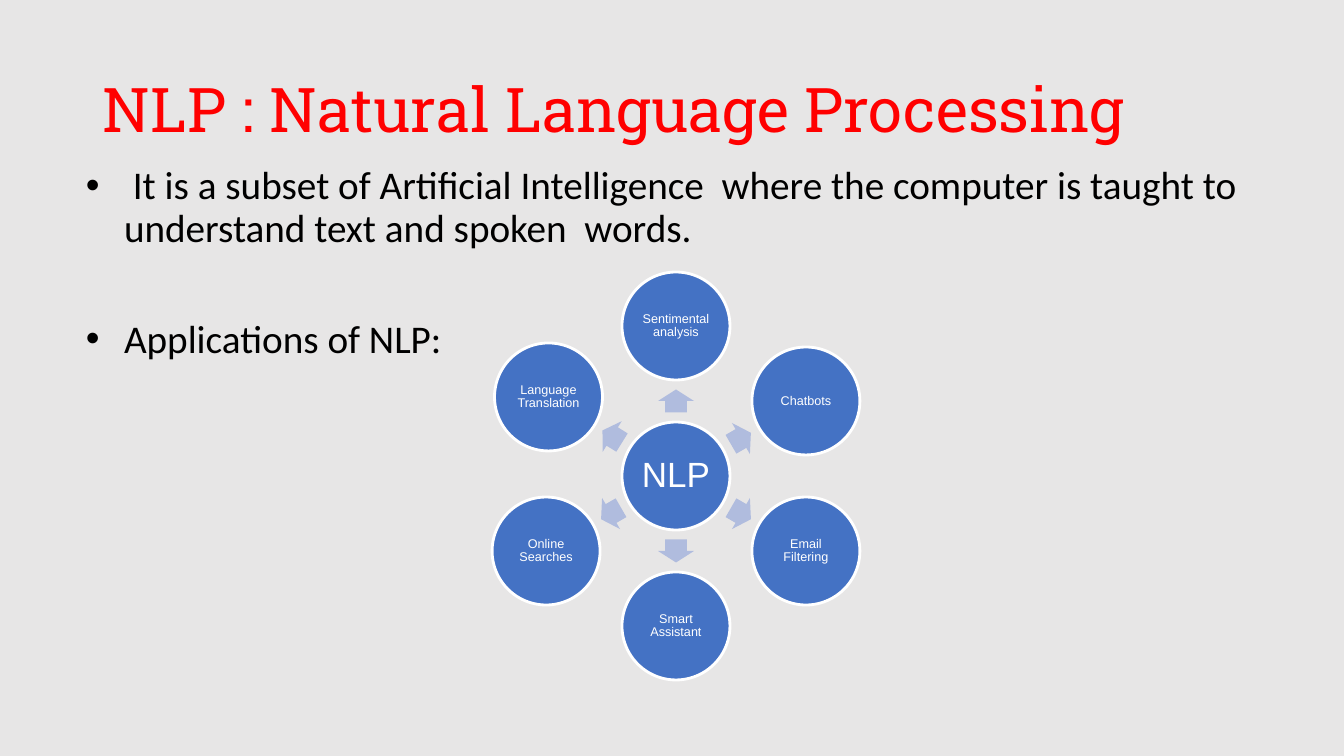
from math import cos, radians, sin

from lxml import etree
from pptx import Presentation
from pptx.dml.color import RGBColor
from pptx.enum.shapes import MSO_SHAPE
from pptx.enum.text import MSO_ANCHOR, PP_ALIGN
from pptx.oxml.ns import qn
from pptx.util import Emu, Pt

# Scale: 1344 px span 13.33 inches
EMU_PER_PX = 914400 / 100.8

BACKGROUND = RGBColor(0xE7, 0xE6, 0xE6)
RED = RGBColor(0xFF, 0x00, 0x00)
BLACK = RGBColor(0x00, 0x00, 0x00)
WHITE = RGBColor(0xFF, 0xFF, 0xFF)
BLUE = RGBColor(0x44, 0x72, 0xC4)
PALE_BLUE = RGBColor(0xB0, 0xBC, 0xDE)

# Radial diagram
CENTER_X, CENTER_Y = 676, 476
CIRCLE_SIZE = 108
CIRCLE_RADIUS, ARROW_RADIUS = 150, 75
ARROW_WIDTH, ARROW_HEIGHT = 23, 36

# Label and clockwise angle in degrees, starting from the right
APPLICATIONS = [
    ("Sentimental analysis", 270),
    ("Chatbots", 330),
    ("Email Filtering", 30),
    ("Smart Assistant", 90),
    ("Online Searches", 150),
    ("Language Translation", 211.8),
]

# Bullet text and space before it in points
BULLETS = [
    (" It is a subset of Artificial Intelligence  where the computer is taught"
     " to understand text and spoken  words.", 10),
    ("Applications of NLP:", 49),
]


def px(value):
    return Emu(round(value * EMU_PER_PX))


def set_margins(text_frame, horizontal, vertical):
    text_frame.margin_left = text_frame.margin_right = px(horizontal)
    text_frame.margin_top = text_frame.margin_bottom = px(vertical)


def style_paragraph(paragraph, font_name, size, color):
    paragraph.line_spacing = 0.9
    paragraph.font.name = font_name
    paragraph.font.size = Pt(size)
    paragraph.font.color.rgb = color


def add_text_box(slide, left, top, width, height):
    box = slide.shapes.add_textbox(px(left), px(top), px(width), px(height))
    text_frame = box.text_frame
    text_frame.word_wrap = True
    set_margins(text_frame, 10, 5)
    return text_frame


def add_bullet(paragraph):
    properties = paragraph._p.get_or_add_pPr()
    properties.set("marL", str(px(50)))
    properties.set("indent", str(px(-38)))
    bullet_font = etree.SubElement(properties, qn("a:buFont"))
    bullet_font.set("typeface", "Arial")
    etree.SubElement(properties, qn("a:buChar")).set("char", "•")


def add_title(slide, text):
    text_frame = add_text_box(slide, 93, 40, 1159, 146)
    text_frame.vertical_anchor = MSO_ANCHOR.MIDDLE
    text_frame.text = text
    style_paragraph(text_frame.paragraphs[0], "Roboto Slab", 44, RED)


def add_bullet_list(slide, bullets):
    text_frame = add_text_box(slide, 64, 161, 1187, 520)
    for index, (text, space_before) in enumerate(bullets):
        paragraph = text_frame.add_paragraph() if index else text_frame.paragraphs[0]
        paragraph.text = text
        add_bullet(paragraph)
        paragraph.space_before = Pt(space_before)
        style_paragraph(paragraph, "Calibri", 28, BLACK)


def add_centered_shape(slide, kind, center, width, height, color):
    x, y = center
    shape = slide.shapes.add_shape(
        kind, px(x - width / 2), px(y - height / 2), px(width), px(height))
    shape.shadow.inherit = False
    shape.fill.solid()
    shape.fill.fore_color.rgb = color
    return shape


def add_circle(slide, center, label, size, margin):
    circle = add_centered_shape(
        slide, MSO_SHAPE.OVAL, center, CIRCLE_SIZE, CIRCLE_SIZE, BLUE)
    circle.line.color.rgb = WHITE
    circle.line.width = Pt(2)
    text_frame = circle.text_frame
    text_frame.word_wrap = True
    text_frame.vertical_anchor = MSO_ANCHOR.MIDDLE
    set_margins(text_frame, margin, margin)
    text_frame.text = label
    paragraph = text_frame.paragraphs[0]
    paragraph.alignment = PP_ALIGN.CENTER
    style_paragraph(paragraph, "Arial", size, WHITE)


def add_arrow(slide, center, angle):
    arrow = add_centered_shape(
        slide, MSO_SHAPE.RIGHT_ARROW, center, ARROW_WIDTH, ARROW_HEIGHT, PALE_BLUE)
    arrow.line.fill.background()
    arrow.adjustments[0] = 0.6
    arrow.adjustments[1] = 0.5
    arrow.rotation = angle


def point_on_ring(radius, angle):
    return (CENTER_X + radius * cos(radians(angle)),
            CENTER_Y + radius * sin(radians(angle)))


def add_radial_diagram(slide, hub, applications):
    add_circle(slide, (CENTER_X, CENTER_Y), hub, 25, 3)
    for label, angle in applications:
        add_arrow(slide, point_on_ring(ARROW_RADIUS, angle), angle)
        add_circle(slide, point_on_ring(CIRCLE_RADIUS, angle), label, 9, 1)


def main():
    presentation = Presentation()
    presentation.slide_width = px(1344)
    presentation.slide_height = px(756)
    slide = presentation.slides.add_slide(presentation.slide_layouts[6])
    slide.background.fill.solid()
    slide.background.fill.fore_color.rgb = BACKGROUND

    # Heading and bullets
    add_title(slide, "NLP : Natural Language Processing")
    add_bullet_list(slide, BULLETS)

    # Applications around the hub
    add_radial_diagram(slide, "NLP", APPLICATIONS)

    presentation.save("out.pptx")


if __name__ == "__main__":
    main()
